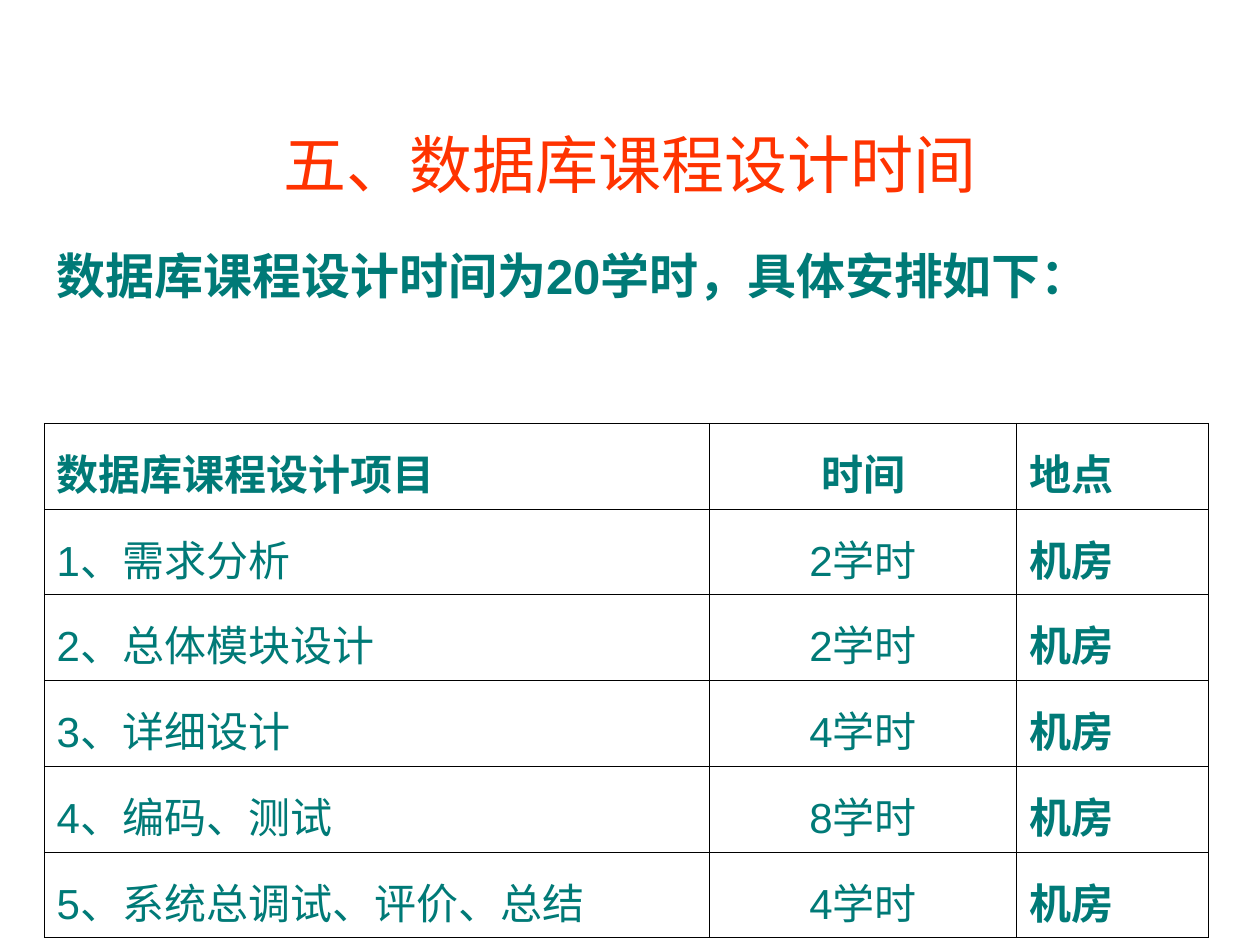
import pptx
import pptx.util
import pptx.dml.color
import pptx.enum.text
import pptx.oxml.ns
import lxml.etree

# Content
TITLE = "五、数据库课程设计时间"
INTRO = "数据库课程设计时间为20学时，具体安排如下："
HEADER = ("数据库课程设计项目", "时间", "地点")
PLACE = "机房"
STAGES = [
    ("1、需求分析", "2学时"),
    ("2、总体模块设计", "2学时"),
    ("3、详细设计", "4学时"),
    ("4、编码、测试", "8学时"),
    ("5、系统总调试、评价、总结", "4学时"),
]

# Style and grid, in inches
COLORS = {"title": "FF3300", "text": "007A77", "border": "000000"}
LATIN, CJK = "Arial", "Noto Sans CJK SC"
COLUMN_WIDTHS = (5.28, 2.44, 1.52)
ROW_HEIGHT = 0.68
TABLE_LEFT, TABLE_TOP = 0.35, 3.36
BORDER_WIDTH = 0.45

Inches, Pt = pptx.util.Inches, pptx.util.Pt
ALIGN = pptx.enum.text.PP_ALIGN
ANCHOR = pptx.enum.text.MSO_ANCHOR


def add_xml(parent, tag, **attributes):
    return lxml.etree.SubElement(parent, pptx.oxml.ns.qn(tag), attributes)


def write(paragraph, text, size, color, bold=False, font=LATIN, align=ALIGN.LEFT):
    paragraph.alignment = align
    run = paragraph.add_run()
    run.text = text
    run.font.size = Pt(size)
    run.font.bold = bold
    run.font.color.rgb = pptx.dml.color.RGBColor.from_string(COLORS[color])
    run.font.name = font
    add_xml(run.font._element, "a:ea", typeface=CJK)


def place(shape, left, top, width, height):
    shape.left, shape.top = Inches(left), Inches(top)
    shape.width, shape.height = Inches(width), Inches(height)


def set_borders(cell):
    properties = cell._tc.get_or_add_tcPr()
    for side in ("a:lnL", "a:lnR", "a:lnT", "a:lnB"):
        line = add_xml(properties, side, w=str(int(Pt(BORDER_WIDTH))))
        fill = add_xml(line, "a:solidFill")
        add_xml(fill, "a:srgbClr", val=COLORS["border"])


presentation = pptx.Presentation()
presentation.slide_width, presentation.slide_height = Inches(10), Inches(7.5)
slide = presentation.slides.add_slide(presentation.slide_layouts[1])

# Title
title = slide.shapes.title
place(title, 0.33, 0.67, 9.34, 1.25)
title.text_frame.vertical_anchor = ANCHOR.MIDDLE
write(title.text_frame.paragraphs[0], TITLE, 36, "title", align=ALIGN.CENTER)

# Introductory sentence, without a bullet
body = slide.placeholders[1]
place(body, 0.35, 1.78, 9, 1.11)
intro = body.text_frame.paragraphs[0]
intro.line_spacing = 1.25
intro.space_before = Pt(7)
write(intro, INTRO, 28, "text", bold=True)
intro_properties = intro._p.get_or_add_pPr()
intro_properties.set("marL", str(Inches(0.38)))
intro_properties.set("indent", str(Inches(-0.38)))
add_xml(intro_properties, "a:buNone")

# Timetable
rows = [HEADER] + [(*stage, PLACE) for stage in STAGES]
frame = slide.shapes.add_table(
    len(rows), len(HEADER), Inches(TABLE_LEFT), Inches(TABLE_TOP),
    Inches(sum(COLUMN_WIDTHS)), Inches(ROW_HEIGHT * len(rows)))
table = frame.table
table.first_row = table.horz_banding = False
for column, width in zip(table.columns, COLUMN_WIDTHS):
    column.width = Inches(width)
for row_index, values in enumerate(rows):
    table.rows[row_index].height = Inches(ROW_HEIGHT)
    for column_index, value in enumerate(values):
        cell = table.cell(row_index, column_index)
        set_borders(cell)
        cell.fill.background()
        paragraph = cell.text_frame.paragraphs[0]
        paragraph.line_spacing = 1.2
        is_header = row_index == 0
        write(paragraph, value, 24, "text",
              bold=is_header or column_index == 2,
              font=CJK if is_header else LATIN,
              align=ALIGN.CENTER if column_index == 1 else ALIGN.LEFT)

presentation.save("out.pptx")
